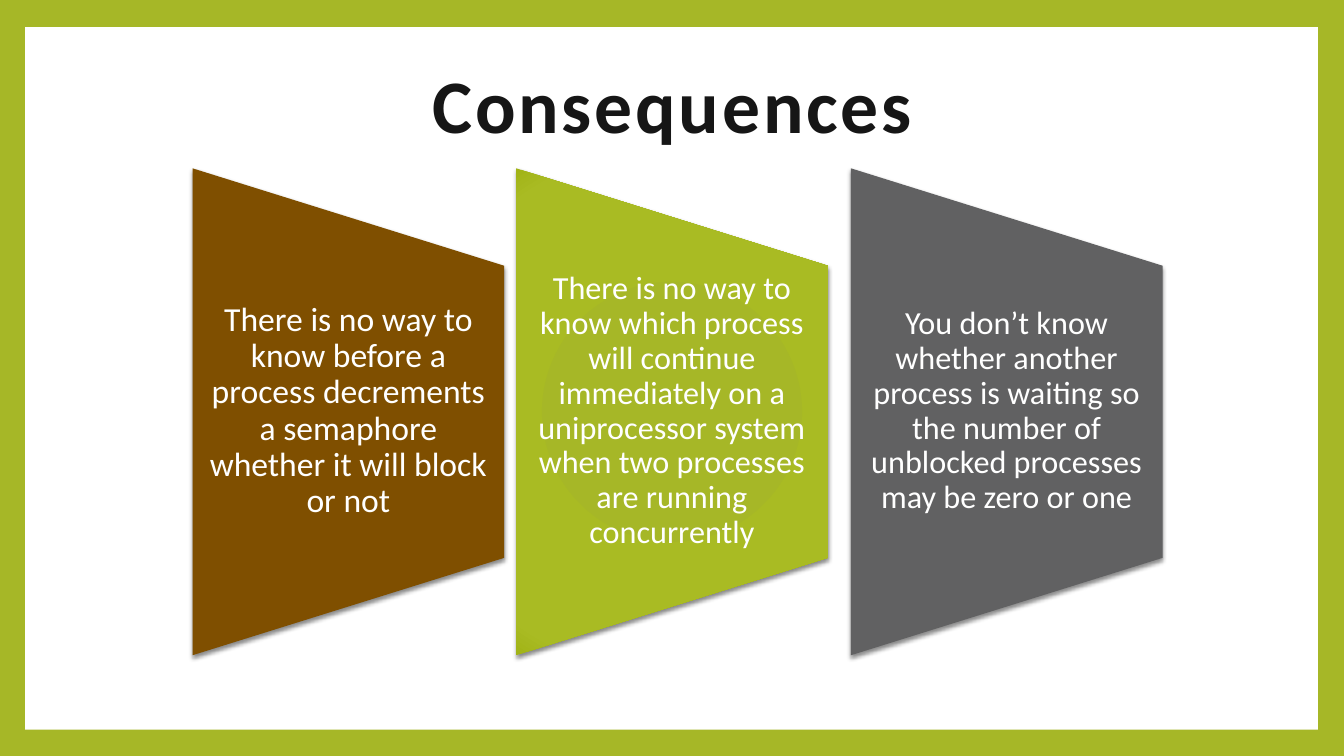
"""Builds the Consequences slide: a title over three tapered panels."""
from lxml import etree
from pptx import Presentation
from pptx.dml.color import RGBColor as RGB
from pptx.enum.shapes import MSO_SHAPE as SHAPE
from pptx.enum.text import MSO_ANCHOR as ANCHOR, PP_ALIGN as ALIGN
from pptx.oxml import parse_xml
from pptx.util import Inches, Pt

NS = 'xmlns:a="http://schemas.openxmlformats.org/drawingml/2006/main"'
HUES = {"lime": "A6B727", "pale": "A9BB23", "deep": "A1B316", "brown": "7F4F00",
        "gray": "616162", "white": "FFFFFF", "ink": "161616", "black": "000000"}
SHADE = (f'<a:effectLst {NS}><a:outerShdw blurRad="{Pt(3)}" dist="{Pt(2)}" dir="5400000" '
         f'algn="ctr" rotWithShape="0"><a:srgbClr val="{HUES["black"]}"><a:alpha val="45000"/>'
         '</a:srgbClr></a:outerShdw></a:effectLst>')
STOPS = "".join(f'<a:gs pos="{pos * 1000}"><a:srgbClr val="{HUES[hue]}"/></a:gs>'
                for pos, hue in [(0, "lime"), (90, "pale"), (100, "deep")])
GLOW = (f'<a:gradFill {NS} rotWithShape="1"><a:gsLst>{STOPS}</a:gsLst><a:path path="circle">'
        '<a:fillToRect l="100000" t="100000" r="100000" b="100000"/></a:path></a:gradFill>')

deck = Presentation()
deck.slide_width, deck.slide_height = Inches(13.33), Inches(7.5)
slide = deck.slides.add_slide(deck.slide_layouts[6])
slide.background.fill.solid()
slide.background.fill.fore_color.rgb = RGB.from_string(HUES["lime"])


def add_text(text, left, top, wide, high, size, hue, pad=0.1, bold=False, gap=0):
    box = slide.shapes.add_textbox(Inches(left), Inches(top), Inches(wide), Inches(high))
    frame = box.text_frame
    frame.word_wrap = True
    frame.vertical_anchor = ANCHOR.MIDDLE
    frame.margin_left = frame.margin_right = Inches(pad)
    frame.margin_top = frame.margin_bottom = 0
    para = frame.paragraphs[0]
    para.alignment, para.line_spacing = ALIGN.CENTER, 0.9
    run = para.add_run()
    run.text = text
    font = run.font
    font.name, font.size, font.bold = "Calibri", Pt(size), bold
    font.color.rgb = RGB.from_string(HUES[hue])
    if gap:
        font._element.set("spc", str(gap * 100))


def add_form(kind, left, top, wide, high, hue):
    form = slide.shapes.add_shape(kind, Inches(left), Inches(top), Inches(wide), Inches(high))
    form.shadow.inherit = False
    form.fill.solid()
    form.fill.fore_color.rgb = RGB.from_string(HUES[hue])
    form.line.fill.background()
    return form


add_form(SHAPE.RECTANGLE, 0.25, 0.27, 12.82, 6.97, "white")
add_text("Consequences", 2.39, 0.5, 8.56, 1.17, 54, "ink", bold=True, gap=2)

LONG, SHORT = 4.83, 3.09
panels = [
    (1.91, "brown", 24, 0.17, "There is no way to know before a process decrements "
     "a semaphore whether it will block or not"),
    (5.12, "lime", 23, 0.16, "There is no way to know which process will continue immediately "
     "on a uniprocessor system when two processes are running concurrently"),
    (8.44, "gray", 23, 0.16, "You don’t know whether another process is waiting "
     "so the number of unblocked processes may be zero or one"),
]
for left, hue, size, pad, text in panels:
    panel = add_form(SHAPE.FLOWCHART_MANUAL_OPERATION, left - (LONG - SHORT) / 2, 2.54,
                     LONG, SHORT, hue)
    panel.rotation = 270
    props = panel._element.spPr
    for node in props.findall("{*}effectLst"):
        props.replace(node, parse_xml(SHADE))
    if hue == "lime":
        props.replace(props.find("{*}solidFill"), parse_xml(GLOW))
    add_text(text, left, 2.63, SHORT, 2.9, size, "white", pad=pad)

deck.save("out.pptx")
